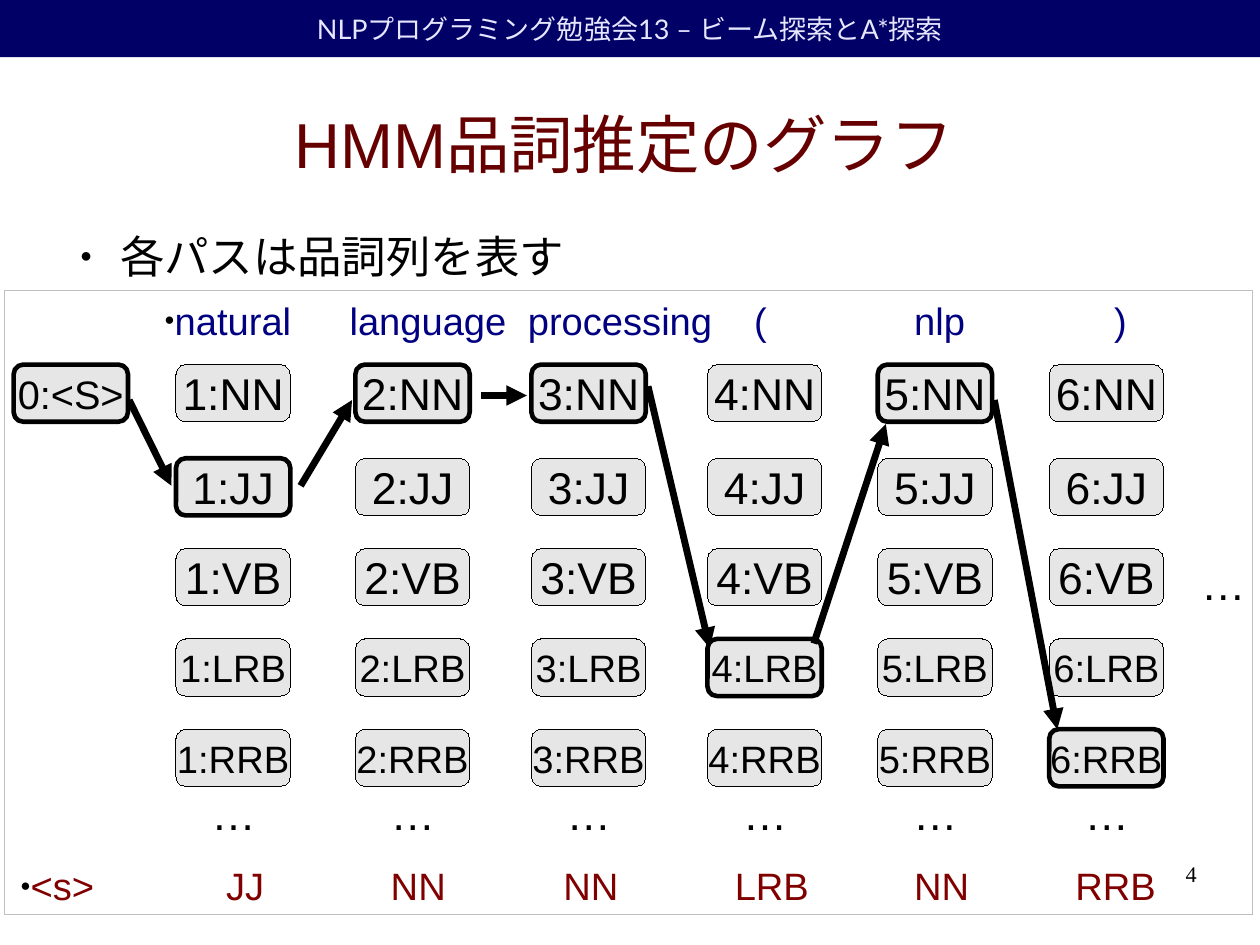
from lxml import etree
from pptx import Presentation
from pptx.dml.color import RGBColor
from pptx.enum import lang, shapes, text
from pptx.oxml.ns import qn
from pptx.util import Inches, Mm, Pt

# Content
HEADER = "NLPプログラミング勉強会13 – ビーム探索とA*探索"
TITLE = "HMM品詞推定のグラフ"
POINT = "各パスは品詞列を表す"
PAGE = "4"
DOTS = "…"
START = "0:<S>"
WORDS = ["natural", "language", "processing", "(", "nlp", ")"]
TAGS = ["NN", "JJ", "VB", "LRB", "RRB"]
BEST = ["JJ", "NN", "NN", "LRB", "NN", "RRB"]

# Grid, in inches
W = 11.02
COLS = [1.54, 3.11, 4.65, 6.19, 7.68, 9.18]
ROWS = [3.19] + [4.01 + 0.79 * i for i in range(4)]
NODE_W, NODE_H = 1, 0.5
HAIRLINE, THICK = 0.01, 2.89
WORD_TABS = [1.62, 3.18, 5.16, 6.56, 8.31]
BEST_TABS = [1.8, 3.24, 4.75, 6.25, 7.82, 9.23]
ARROWS = [
    (1.13, 3.5, 1.5, 4.25), (2.63, 4.25, 3.08, 3.5), (4.21, 3.46, 4.61, 3.46),
    (5.67, 3.38, 6.21, 5.67), (7.12, 5.63, 7.75, 3.71), (8.7, 3.5, 9.25, 6.38),
]

BLACK = RGBColor(0x00, 0x00, 0x00)
WHITE_BLUE = RGBColor(0xE6, 0xE6, 0xFF)
NAVY = RGBColor(0x00, 0x00, 0x66)
BLUE = RGBColor(0x00, 0x00, 0x80)
MAROON = RGBColor(0x66, 0x00, 0x00)
RED = RGBColor(0x80, 0x00, 0x00)
GREY = RGBColor(0xE6, 0xE6, 0xE6)
SILVER = RGBColor(0xC0, 0xC0, 0xC0)
LEFT, CENTER, RIGHT = text.PP_ALIGN.LEFT, text.PP_ALIGN.CENTER, text.PP_ALIGN.RIGHT
TOP, MIDDLE = text.MSO_ANCHOR.TOP, text.MSO_ANCHOR.MIDDLE

prs = Presentation()
prs.slide_width, prs.slide_height = Mm(280), Mm(210)
slide = prs.slides.add_slide(prs.slide_layouts[1])


def write(sp, words, size, color=BLACK, align=LEFT, anchor=TOP,
          font="Arial", inset=(0.1, 0.05), wrap=True):
    tf = sp.text_frame
    tf.auto_size = text.MSO_AUTO_SIZE.NONE
    tf.word_wrap, tf.vertical_anchor = wrap, anchor
    tf.margin_left = tf.margin_right = Inches(inset[0])
    tf.margin_top = tf.margin_bottom = Inches(inset[1])
    p = tf.paragraphs[0]
    p.alignment, p.space_before = align, Pt(0)
    r = p.add_run()
    r.text = words
    r.font.size, r.font.name, r.font.color.rgb = Pt(size), font, color
    if not words.isascii():
        r.font.language_id = lang.MSO_LANGUAGE_ID.JAPANESE
    return p


def place(sp, *box):
    sp.left, sp.top, sp.width, sp.height = map(Inches, box)
    return sp


def text_box(box, words, size, **style):
    return write(slide.shapes.add_textbox(*map(Inches, box)), words, size, **style)


def add_bullet(p, margin=0, indent=0, tabs=()):
    pPr = p._p.get_or_add_pPr()
    pPr.set("marL", str(Inches(margin)))
    pPr.set("indent", str(Inches(indent)))
    color = etree.SubElement(pPr, qn("a:buClr"))
    etree.SubElement(color, qn("a:srgbClr"), val=str(BLACK))
    etree.SubElement(pPr, qn("a:buSzPct"), val="45000")
    etree.SubElement(pPr, qn("a:buFont"), typeface="Arial")
    etree.SubElement(pPr, qn("a:buChar"), char="●")
    if tabs:
        stops = etree.SubElement(pPr, qn("a:tabLst"))
        for x in tabs:
            etree.SubElement(stops, qn("a:tab"), pos=str(Inches(x)), algn="l")


def box_shape(kind, box, fill=None, line=None, width=HAIRLINE):
    sp = slide.shapes.add_shape(kind, *map(Inches, box))
    sp.shadow.inherit = False
    if fill is None:
        sp.fill.background()
    else:
        sp.fill.solid()
        sp.fill.fore_color.rgb = fill
    if line is None:
        sp.line.fill.background()
    else:
        sp.line.color.rgb, sp.line.width = line, Pt(width)
    return sp


def add_node(x, y, label, size, on_path):
    sp = box_shape(shapes.MSO_SHAPE.ROUNDED_RECTANGLE, (x, y, NODE_W, NODE_H),
                   GREY, BLACK, THICK if on_path else HAIRLINE)
    write(sp, label, size, align=CENTER, anchor=MIDDLE, wrap=False)


def add_dots(x, y):
    text_box((x, y, 0.59, 0.53), DOTS, 28, wrap=False)


# Header band, title and point
band = box_shape(shapes.MSO_SHAPE.RECTANGLE, (0, 0, W, 0.5), NAVY)
band.width = prs.slide_width
write(band, HEADER, 17, WHITE_BLUE, CENTER, MIDDLE, "Lato")
title, body = slide.placeholders
write(place(title, 0.5, 0.62, 9.92, 1.27), TITLE, 40, MAROON, CENTER, MIDDLE, inset=(0, 0))
point = write(place(body, 0.58, 2, 9.92, 0.56), POINT, 28, inset=(0, 0))
point.space_after = Pt(14.2)
add_bullet(point, 0.47, -0.35)

# Words of the sentence
add_bullet(text_box((1.34, 2.55, 9.35, 0.47), "\t".join(WORDS), 24, color=BLUE),
           tabs=WORD_TABS)

# Graph nodes
for number, (x, best) in enumerate(zip(COLS, BEST), 1):
    for y, tag in zip(ROWS, TAGS):
        add_node(x, y, f"{number}:{tag}", 28 if len(tag) == 2 else 24, tag == best)
    add_dots(x + 0.21, 6.83)
add_node(0.12, ROWS[0], START, 25, True)
add_dots(10.41, 4.82)

# Path arrows
for ends in ARROWS:
    arrow = slide.shapes.add_connector(shapes.MSO_CONNECTOR.STRAIGHT, *map(Inches, ends))
    arrow.line.color.rgb, arrow.line.width = BLACK, Pt(4.31)
    etree.SubElement(arrow.line._get_or_add_ln(), qn("a:tailEnd"), type="triangle")
    etree.SubElement(arrow._element.spPr, qn("a:effectLst"))

# Best tag sequence, frame and page number
add_bullet(text_box((0.08, 7.5, 10.42, 0.47), "\t".join(["<s>"] + BEST), 24, color=RED),
           tabs=BEST_TABS)
box_shape(shapes.MSO_SHAPE.RECTANGLE, (0.04, 2.54, 10.92, 5.46), line=SILVER)
text_box((7.9, 7.53, 2.57, 0.57), PAGE, 14, align=RIGHT, font="Times New Roman", inset=(0, 0))

prs.save("out.pptx")
